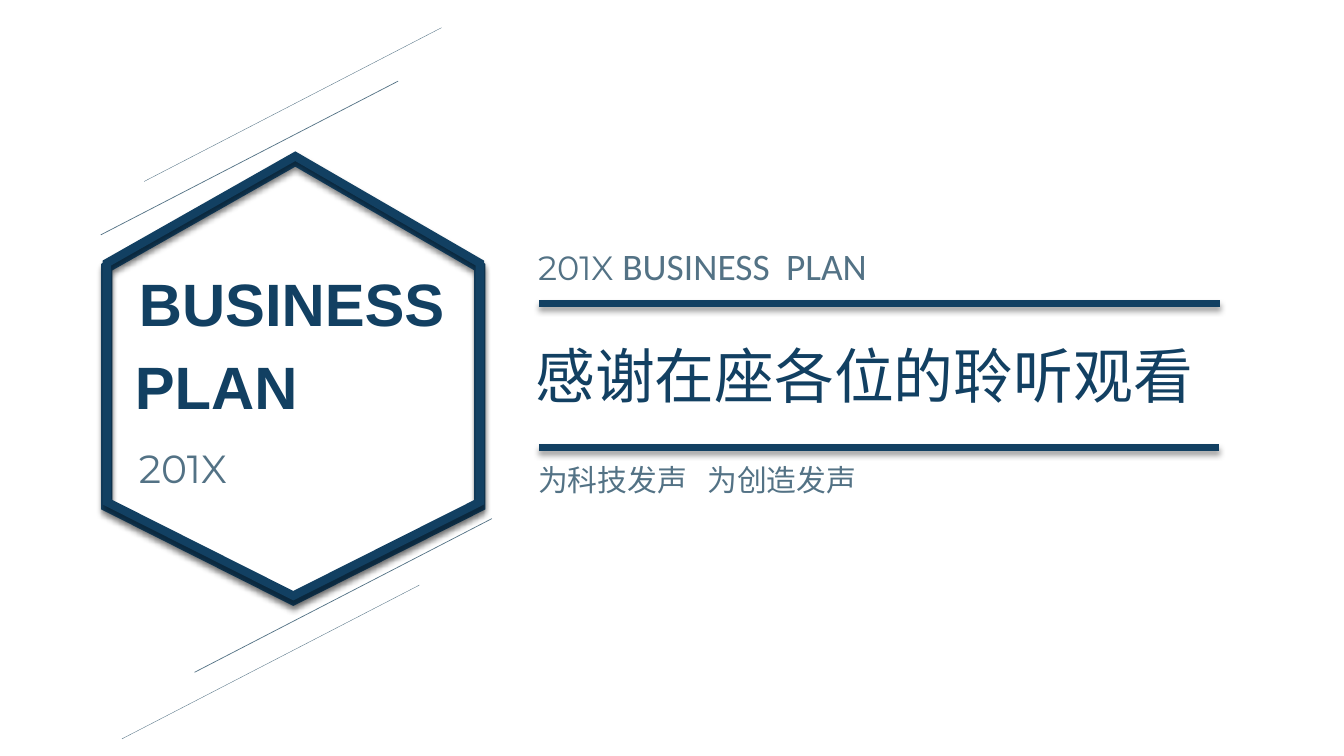
from lxml.etree import SubElement
from pptx import Presentation
from pptx.dml.color import RGBColor
from pptx.enum.shapes import MSO_CONNECTOR
from pptx.enum.text import MSO_ANCHOR, MSO_AUTO_SIZE, PP_ALIGN
from pptx.oxml.ns import qn
from pptx.util import Inches, Pt

NAVY, SLATE = "124062", "537285"
CJK = "Noto Sans CJK SC"
COLUMNS, ROWS = 133.33, 75

TITLE = {"place": (52.1, 33.1, 70.2, 8.2), "wrap": True,
         "spans": [("感谢在座各位的聆听观看", CJK, 42.7, NAVY, False)]}
TEXTS = [
    {"place": (52.4, 23.6, 42.6, 5.5), "wrap": True, "tab": 24.6,
     "spans": [("201X ", "Montserrat", 24, SLATE, False),
               ("BUSINESS\tPLAN", "Calibri", 26.7, SLATE, False)]},
    {"place": (52.4, 45.3, 36.2, 4.6), "wrap": True, "tab": 16.8,
     "spans": [("为科技发声\t为创造发声", CJK, 21.3, SLATE, False)]},
    {"place": (12.8, 43.6, 14.2, 5.7), "wrap": False,
     "spans": [("201X", "Montserrat", 28, SLATE, False)]},
    {"place": (12.8, 26, 32.7, 8.2), "wrap": False,
     "spans": [("BUSINESS", "Arial", 42.7, NAVY, True)]},
    {"place": (12.4, 34.2, 18.3, 8.2), "wrap": False,
     "spans": [("PLAN", "Arial", 42.7, NAVY, True)]},
]
HEXAGON = [(29.3, 0), (47.6, 10.6), (47.6, 34.3), (29.1, 43.6), (10.6, 34.3), (10.6, 10.6)]
HEXAGON_LAYERS = [(15.9, 8), (15.5, 6)]
TITLE_RULES = [(53.5, 30.1), (53.45, 44.4)]
RULE_LENGTH, RULE_WIDTH = 67.5, 4.5
DIAGONALS = [(19.3, 66.7, 0.5), (12.1, 73.3, 0.25), (10, 23.3, 0.5), (14.3, 18, 0.25)]
DIAGONAL_RUN, DIAGONAL_RISE = 29.5, 15.25

deck = Presentation()
deck.slide_width, deck.slide_height = Inches(13.33), Inches(7.5)
page = deck.slides.add_slide(deck.slide_layouts[5])


def across(columns):
    return round(deck.slide_width * columns / COLUMNS)


def down(rows):
    return round(deck.slide_height * rows / ROWS)


def color(value):
    return RGBColor.from_string(value)


def add_effects(shape, shadow):
    effects = SubElement(shape.element.spPr, qn("a:effectLst"))
    if shadow:
        outer = SubElement(effects, qn("a:outerShdw"), blurRad=str(Pt(4)),
                           dist=str(Pt(3)), dir="5400000", algn="t", rotWithShape="0")
        black = SubElement(outer, qn("a:srgbClr"), val="000000")
        SubElement(black, qn("a:alpha"), val="40000")


def style_line(shape, value, width):
    shape.line.color.rgb = color(value)
    shape.line.width = Pt(width)


def add_line(start, end, value, width, shadow=False):
    line = page.shapes.add_connector(
        MSO_CONNECTOR.STRAIGHT, across(start[0]), down(start[1]), across(end[0]), down(end[1]))
    style_line(line, value, width)
    add_effects(line, shadow)


def add_hexagon(top, width):
    points = [(across(x), down(top + y)) for x, y in HEXAGON]
    builder = page.shapes.build_freeform(*points[0], scale=1.0)
    builder.add_line_segments(points[1:], close=True)
    hexagon = builder.convert_to_shape()
    hexagon.fill.background()
    style_line(hexagon, NAVY, width)
    SubElement(hexagon.line._get_or_add_ln(), qn("a:miter"), lim="800000")
    add_effects(hexagon, True)


def fill_text(box, item):
    left, top, width, height = item["place"]
    place = {"left": across(left), "top": down(top), "width": across(width), "height": down(height)}
    for name, value in place.items():
        setattr(box, name, value)
    frame = {"word_wrap": item["wrap"], "vertical_anchor": MSO_ANCHOR.TOP,
             "auto_size": MSO_AUTO_SIZE.SHAPE_TO_FIT_TEXT}
    for name, value in frame.items():
        setattr(box.text_frame, name, value)
    para = box.text_frame.paragraphs[0]
    para.alignment = PP_ALIGN.LEFT
    if "tab" in item:
        stops = SubElement(para._p.get_or_add_pPr(), qn("a:tabLst"))
        SubElement(stops, qn("a:tab"), pos=str(across(item["tab"])), algn="l")
    for words, font, size, value, bold in item["spans"]:
        span = para.add_run()
        span.text = words
        for name, setting in {"name": font, "size": Pt(size), "bold": bold}.items():
            setattr(span.font, name, setting)
        span.font.color.rgb = color(value)
        SubElement(span.font._element, qn("a:ea"), typeface=font)


for top, width in HEXAGON_LAYERS:
    add_hexagon(top, width)
for x, y in TITLE_RULES:
    add_line((x, y), (x + RULE_LENGTH, y), NAVY, RULE_WIDTH, True)
for x, y, width in DIAGONALS:
    add_line((x, y), (x + DIAGONAL_RUN, y - DIAGONAL_RISE), SLATE, width)
fill_text(page.shapes.title, TITLE)
for item in TEXTS:
    fill_text(page.shapes.add_textbox(0, 0, 0, 0), item)

deck.save("out.pptx")
